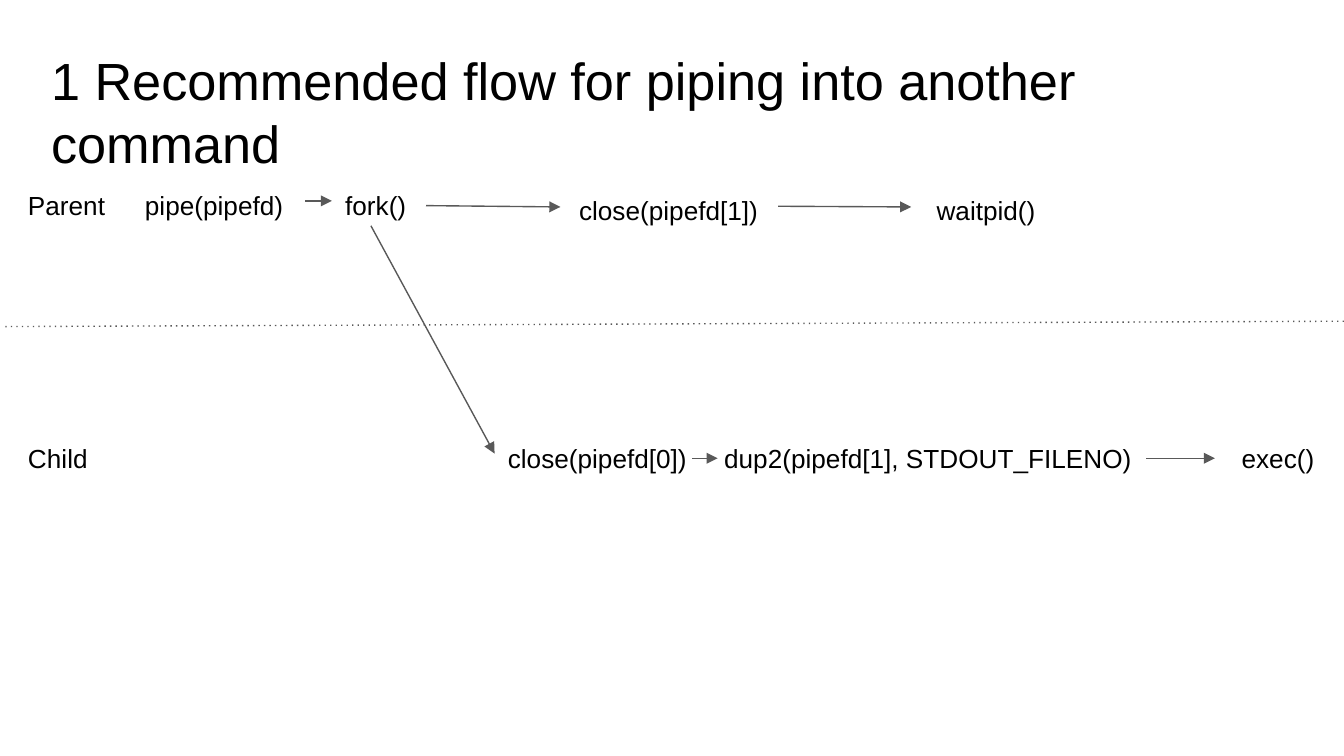
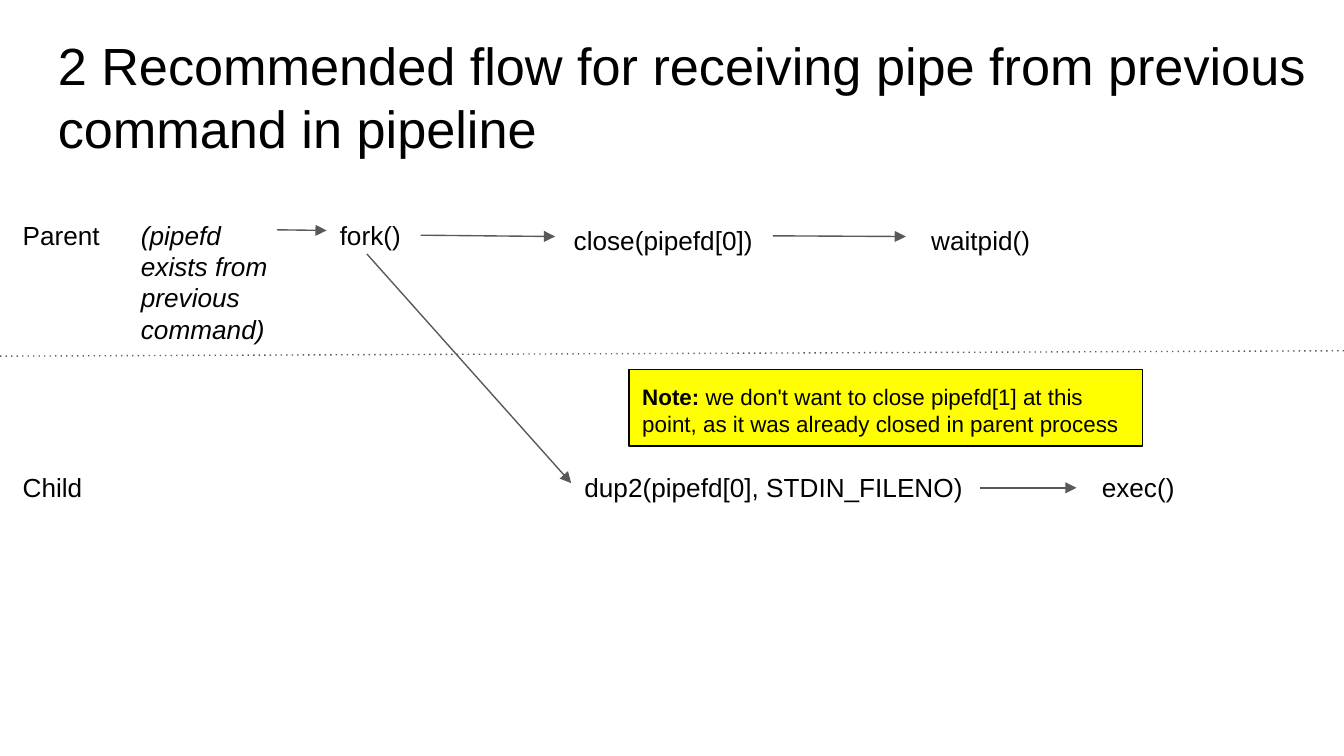
import pptx
import pptx.util
import pptx.dml.color
import pptx.enum.dml
import pptx.enum.shapes
import pptx.enum.text
import pptx.oxml
import pptx.oxml.ns

PX = 9144  # 100 px to the inch
INSET = 10
FONT = "Arial"
COLORS = {"text": "000000", "line": "595959", "note": "FFFF00", "paper": "FFFFFF"}
BOX_HEIGHT = 37
TOP, LEFT, BOTTOM, RIGHT = 0, 1, 2, 3

# Boxes: name -> (text, left, top, width, height); arrows: (start, end), each
# end being a point or a (box name, side) pair.
FLOWS = [
    {
        "title": ("1 Recommended flow for piping into another command", 28, 26),
        "shift": (0, 0),
        "parent_close": "close(pipefd[1])",
        "boxes": {
            "pipe": ("pipe(pipefd)", 98, 131, 129, BOX_HEIGHT),
            "child close": ("close(pipefd[0])", 368, 319, 158, BOX_HEIGHT),
            "dup2": ("dup2(pipefd[1], STDOUT_FILENO)", 529, 319, 324, BOX_HEIGHT),
            "exec": ("exec()", 914, 319, 80, BOX_HEIGHT),
        },
        "arrows": [
            (("pipe", RIGHT), ("fork", LEFT)),
            ((276, 168), ("child close", LEFT)),
            ((515, 341), (534, 341)),
            ((853, 341), (904, 341)),
        ],
    },
    {
        "title": ("2 Recommended flow for receiving pipe from previous "
                  "command in pipeline", 33, 15),
        "shift": (-4, 22),
        "parent_close": "close(pipefd[0])",
        "boxes": {
            "pipe": ("(pipefd exists from previous command)", 95, 153, 129, 105),
            "dup2": ("dup2(pipefd[0], STDIN_FILENO)", 425, 341, 324, BOX_HEIGHT),
            "exec": ("exec()", 810, 341, 80, BOX_HEIGHT),
        },
        "arrows": [
            ((206, 171), ("fork", LEFT)),
            ((273, 189), ("dup2", LEFT)),
            ((729, 363), (801, 363)),
        ],
    },
]

# Present on both slides, moved by the slide's shift
SHARED_BOXES = {
    "parent": ("Parent", 11, 131, 102),
    "child": ("Child", 11, 319, 102),
    "fork": ("fork()", 247, 131, 66),
    "parent close": (None, 421, 135, 158),
    "waitpid": ("waitpid()", 687, 135, 99),
}


def write(shape, spans, size):
    """Fill a shape with one paragraph of (text, bold, italic) spans."""
    frame = shape.text_frame
    frame.word_wrap = True
    frame.auto_size = pptx.enum.text.MSO_AUTO_SIZE.NONE
    frame.vertical_anchor = pptx.enum.text.MSO_ANCHOR.TOP
    frame.margin_left = frame.margin_right = INSET * PX
    frame.margin_top = frame.margin_bottom = INSET * PX
    para = frame.paragraphs[0]
    para.alignment = pptx.enum.text.PP_ALIGN.LEFT
    para.line_spacing = 1.0
    for text, bold, italic in spans:
        span = para.add_run()
        span.text = text
        span.font.name = FONT
        span.font.size = pptx.util.Pt(size)
        span.font.bold = bold
        span.font.italic = italic
        span.font.color.rgb = pptx.dml.color.RGBColor.from_string(COLORS["text"])


def draw_line(slide, shapes, start, end, arrow=True):
    """Draw a line whose ends are points or (box name, side) pairs."""
    joined = [isinstance(place[0], str) for place in (start, end)]
    x1, y1 = (0, 0) if joined[0] else start
    x2, y2 = (0, 0) if joined[1] else end
    line = slide.shapes.add_connector(
        pptx.enum.shapes.MSO_CONNECTOR.STRAIGHT, x1 * PX, y1 * PX, x2 * PX, y2 * PX)
    if joined[0]:
        line.begin_connect(shapes[start[0]], start[1])
    if joined[1]:
        line.end_connect(shapes[end[0]], end[1])
    line.line.color.rgb = pptx.dml.color.RGBColor.from_string(COLORS["line"])
    line.line.width = pptx.util.Pt(0.75)
    properties = line._element.spPr
    if arrow:
        tail = pptx.oxml.parse_xml(
            f'<a:tailEnd {pptx.oxml.ns.nsdecls("a")} type="triangle"/>')
        line.line._get_or_add_ln().append(tail)
    else:
        line.line.dash_style = pptx.enum.dml.MSO_LINE.ROUND_DOT
        properties.find(".//" + pptx.oxml.ns.qn("a:prstDash")).set("val", "dot")
    properties.append(pptx.oxml.parse_xml(
        f'<a:effectLst {pptx.oxml.ns.nsdecls("a")}/>'))


deck = pptx.Presentation()
deck.slide_width = 1000 * PX
deck.slide_height = deck.slide_width * 9 // 16
background = deck.slide_master.background.fill
background.solid()
background.fore_color.rgb = pptx.dml.color.RGBColor.from_string(COLORS["paper"])

for flow in FLOWS:
    slide = deck.slides.add_slide(deck.slide_layouts[5])
    dx, dy = flow["shift"]

    title_text, left, top = flow["title"]
    title = slide.shapes.title
    title.left, title.top, title.width, title.height = (
        left * PX, top * PX, 958 * PX, 63 * PX)
    write(title, [(title_text, False, False)], 28)

    boxes = {name: (text or flow["parent_close"], left + dx, top + dy, width, BOX_HEIGHT)
             for name, (text, left, top, width) in SHARED_BOXES.items()}
    boxes.update(flow["boxes"])
    shapes = {}
    for name, (text, left, top, width, height) in boxes.items():
        box = slide.shapes.add_textbox(left * PX, top * PX, width * PX, height * PX)
        write(box, [(text, False, text.startswith("("))], 14)
        shapes[name] = box

    draw_line(slide, shapes, (4 + dx, 243 + dy), (1005 + dx, 239 + dy), arrow=False)
    draw_line(slide, shapes, (317 + dx, 153 + dy), (417 + dx, 154 + dy))
    draw_line(slide, shapes, ("parent close", RIGHT), (678 + dx, 154 + dy))
    for start, end in flow["arrows"]:
        draw_line(slide, shapes, start, end)

# The warning belongs to the second flow only
note = slide.shapes.add_shape(
    pptx.enum.shapes.MSO_SHAPE.RECTANGLE, 468 * PX, 275 * PX, 382 * PX, 57 * PX)
note.shadow.inherit = False
note.fill.solid()
note.fill.fore_color.rgb = pptx.dml.color.RGBColor.from_string(COLORS["note"])
note.line.color.rgb = pptx.dml.color.RGBColor.from_string(COLORS["text"])
note.line.width = pptx.util.Pt(0.75)
write(note, [
    ("Note:", True, False),
    (" we don't want to close pipefd[1] at this point, as it was already "
     "closed in parent process", False, False),
], 12)

deck.save("out.pptx")
